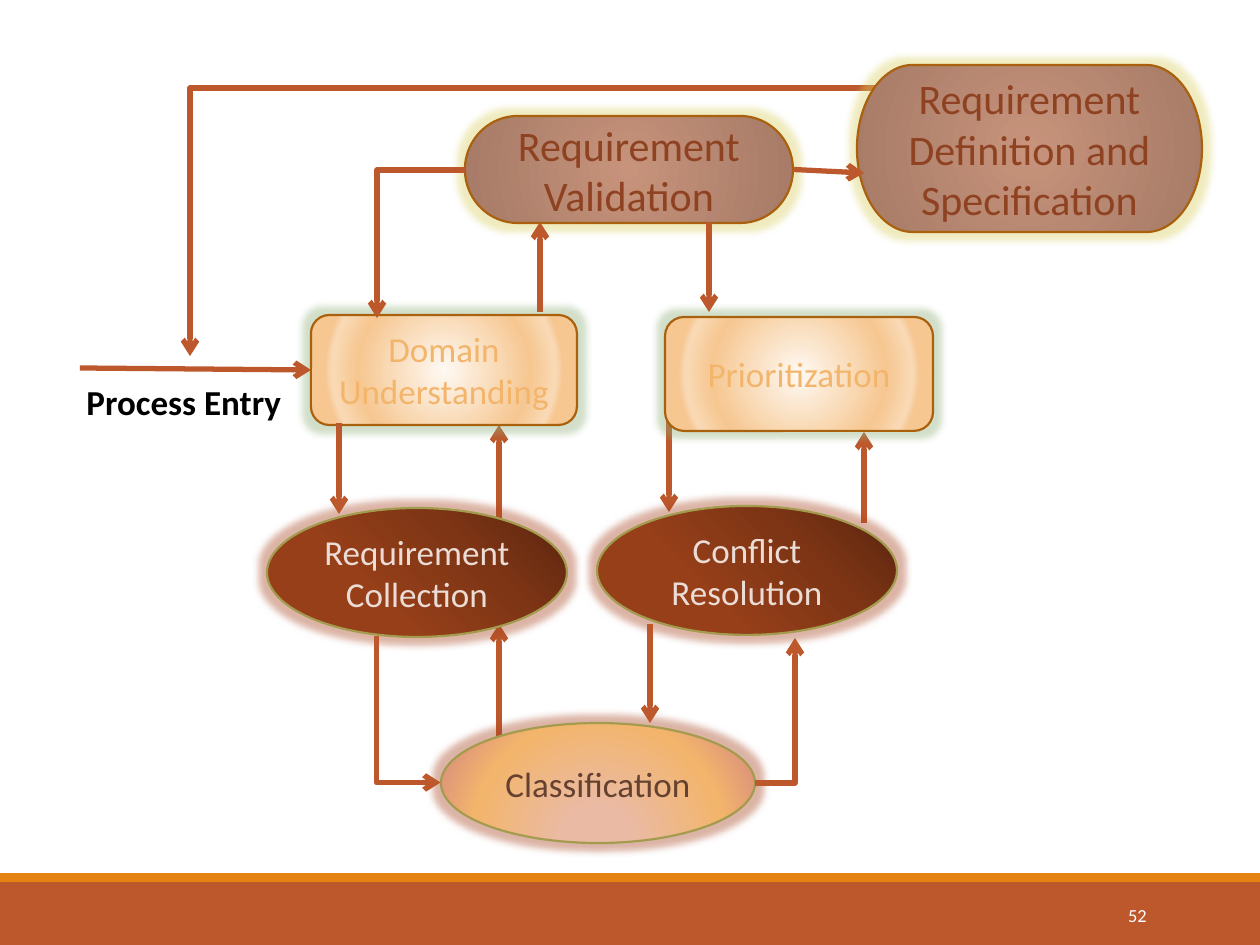
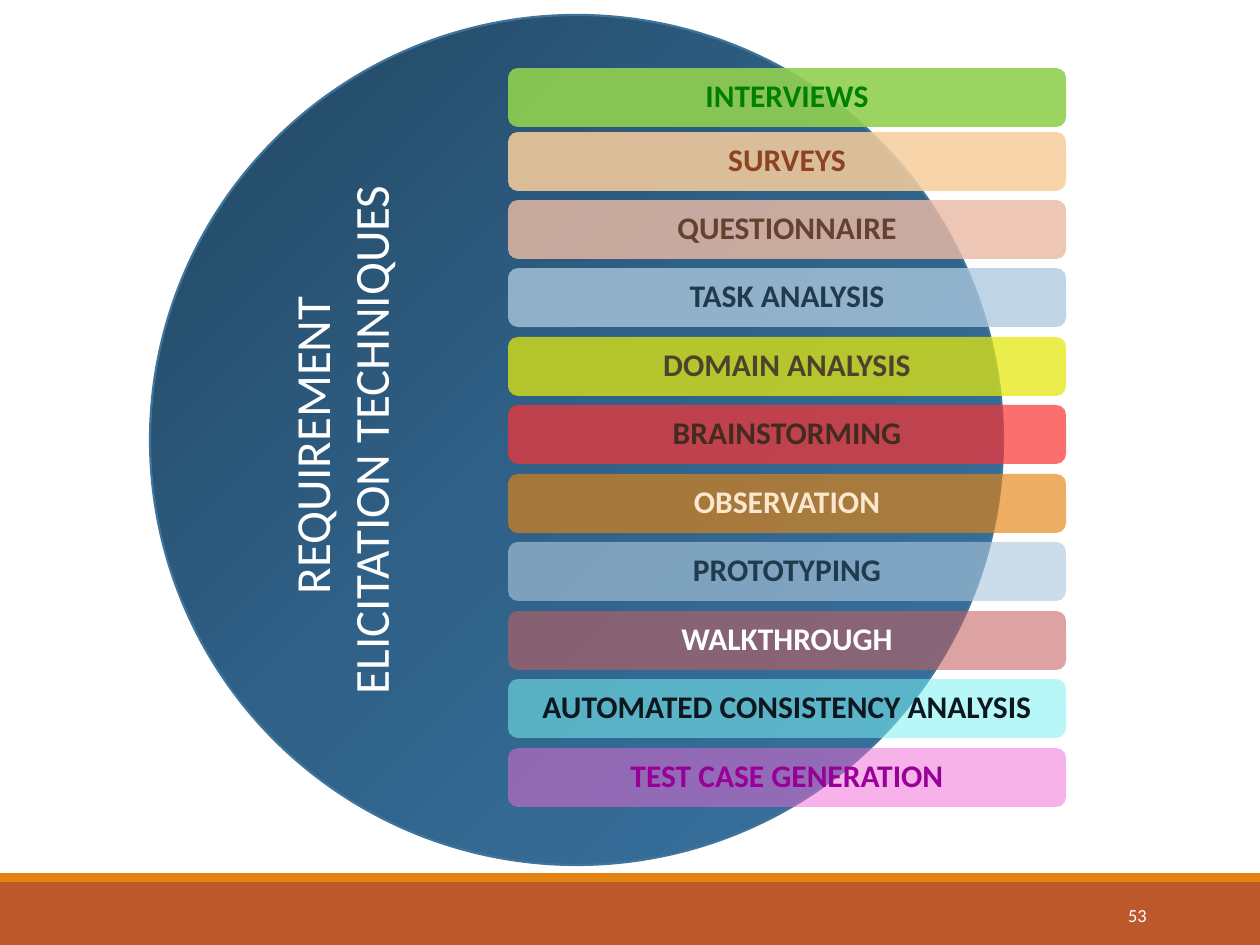
"""Build two slides: the requirement process and its elicitation techniques."""
from pptx import Presentation
from pptx.dml.color import RGBColor
from pptx.enum.shapes import MSO_CONNECTOR, MSO_SHAPE
from pptx.enum.text import MSO_ANCHOR, PP_ALIGN
from pptx.oxml import parse_xml
from pptx.oxml.ns import nsdecls, qn
from pptx.util import Emu, Pt

SCALE = 914400 / 126
FONT = "Calibri"
HUE = {
    "band": "BD582C", "strip": "E48312", "white": "FFFFFF", "black": "000000",
    "brown": "A9610D", "olive": "A39B4E", "blue": "40749B", "rust": "8E4221",
    "peach": "F3B56C", "cream": "EBDCD5", "cocoa": "654130", "navy": "203A4E",
    "sage": "8FAF78", "gold": "DACF60", "ember": "A84420",
}
CENTRE = '<a:path path="circle"><a:fillToRect l="50000" t="50000" r="50000" b="50000"/></a:path>'
LOW = '<a:path path="circle"><a:fillToRect l="50000" t="130000" r="50000" b="-30000"/></a:path>'
SLANT = '<a:lin ang="{}" scaled="0"/>'
SHADE = {
    "step": ([(0, "FEF9F3"), (60, "F6C791"), (78, "F9DAB6"), (83, "F6C791")], CENTRE),
    "goal": ([(0, "765749"), (0, "C7937B"), (93, "A87C68")], CENTRE),
    "task": ([(0, "59250F"), (33, "7E3515"), (65, "963F19")], SLANT.format(8100000)),
    "sort": ([(20, "EABAA5"), (75, "F3B56C"), (100, "E09878")], LOW),
    "disc": ([(0, "224560"), (50, "306289"), (100, "3974A2")], SLANT.format(2700000)),
}
STYLE = {
    "step": (MSO_SHAPE.ROUNDED_RECTANGLE, "brown", "sage", 20, "peach"),
    "goal": (MSO_SHAPE.FLOWCHART_TERMINATOR, "brown", "gold", 24, "rust"),
    "task": (MSO_SHAPE.OVAL, "olive", "ember", 20, "cream"),
    "sort": (MSO_SHAPE.OVAL, "olive", "ember", 20, "cocoa"),
}
NODES = [
    ("Prioritization", "step", (665, 317, 268, 114)),
    ("Conflict Resolution", "task", (597, 506, 300, 129)),
    ("Requirement Collection", "task", (267, 508, 300, 129)),
    ("Requirement Definition and Specification", "goal", (857, 65, 345, 167)),
    ("Requirement Validation", "goal", (465, 116, 328, 107)),
    ("Classification", "sort", (441, 723, 314, 120)),
    ("Domain Understanding", "step", (311, 315, 266, 110)),
]
BACK = [(864, 523, 864, 432), (669, 421, 669, 512),
        (499, 742, 499, 624), (499, 530, 499, 425)]
FRONT = [(339, 423, 339, 514), (709, 222, 709, 312),
         (540, 312, 540, 222), (650, 624, 650, 723)]
ENTRY = (80, 368, 311, 368)
SPECIFY = (793, 170, 864, 173)
LOOP = ((190, 88, 814, 268), 180, "flipV")
BENDS = [((377, 170, 88, 148), 180, "flipV"),
         ((335, 677, 147, 64), 270, "flipH"),
         ((755, 638, 40, 145), 0, "flipV")]
TITLE = ["REQUIREMENT ", "ELICITATION TECHNIQUES"]
WAYS = [
    ("INTERVIEWS", "92D050", "008000"),
    ("SURVEYS", "F7CE9D", HUE["rust"]),
    ("QUESTIONNAIRE", "EABAA5", HUE["cocoa"]),
    ("TASK ANALYSIS", "ADC8DD", HUE["navy"]),
    ("DOMAIN ANALYSIS", "E3E80E", "4E422C"),
    ("BRAINSTORMING", "FB3333", "432B20"),
    ("OBSERVATION", HUE["strip"], "FBE6CE"),
    ("PROTOTYPING", "ADC8DD", HUE["navy"]),
    ("WALKTHROUGH", "C55F5F", HUE["white"]),
    ("AUTOMATED CONSISTENCY ANALYSIS", "7BF1F1", "0D171F"),
    ("TEST CASE GENERATION", "F169D4", "990099"),
]


def px(*nums):
    return [Emu(round(n * SCALE)) for n in nums]


def rgb(code):
    return RGBColor.from_string(code)


def node(tag, inner="", **attrs):
    pairs = " ".join(f'{k}="{v}"' for k, v in attrs.items())
    return parse_xml(f"<a:{tag} {nsdecls('a')} {pairs}>{inner}</a:{tag}>")


def tint(code, alpha):
    return f'<a:srgbClr val="{code}"><a:alpha val="{alpha * 1000}"/></a:srgbClr>'


def write(shape, lines, size, code, bold=False, align=PP_ALIGN.CENTER, anchor=MSO_ANCHOR.MIDDLE):
    frame = shape.text_frame
    frame.word_wrap = True
    frame.vertical_anchor = anchor
    for i, line in enumerate(lines):
        para = frame.add_paragraph() if i else frame.paragraphs[0]
        para.alignment = align
        run = para.add_run()
        run.text = line
        font = run.font
        font.name, font.size, font.bold = FONT, Pt(size), bold
        font.color.rgb = rgb(code)
    return frame


def form(slide, kind, box, code=None, edge=None):
    shape = slide.shapes.add_shape(kind, *px(*box))
    shape.shadow.inherit = False
    if code:
        shape.fill.solid()
        shape.fill.fore_color.rgb = rgb(code)
    if edge:
        shape.line.color.rgb = rgb(HUE[edge])
        shape.line.width = Pt(1.25)
    else:
        shape.line.fill.background()
    return shape


def blend(shape, name):
    stops, way = SHADE[name]
    marks = "".join(f'<a:gs pos="{p * 1000}"><a:srgbClr val="{c}"/></a:gs>' for p, c in stops)
    shape.fill.background()
    props = shape.element.spPr
    props.replace(props.find(qn("a:noFill")),
                  node("gradFill", f"<a:gsLst>{marks}</a:gsLst>{way}", rotWithShape=1))


def arrow(slide, ends, kind=MSO_CONNECTOR.STRAIGHT):
    line = slide.shapes.add_connector(kind, *px(*ends))
    line.line.color.rgb = rgb(HUE["band"])
    line.line.width = Pt(3)
    props = line.element.spPr
    props.find(qn("a:ln")).append(node("tailEnd", type="arrow"))
    props.append(node("effectLst"))
    return line


def bend(slide, box, turn, flip):
    x, y, w, h = box
    props = arrow(slide, (x, y, x + w, y + h), MSO_CONNECTOR.ELBOW).element.spPr
    props.find(qn("a:prstGeom")).set("prst", "bentConnector2")
    frame = props.find(qn("a:xfrm"))
    frame.set("rot", str(turn * 60000))
    frame.set(flip, "1")


def stage(slide, text, style, box):
    kind, edge, halo, size, ink = STYLE[style]
    shape = form(slide, kind, box, edge=edge)
    blend(shape, style)
    glow = node("glow", tint(HUE[halo], 40), rad=101600)
    shape.element.spPr.find(qn("a:effectLst")).append(glow)
    frame = write(shape, [text], size, HUE[ink])
    if style == "step":
        frame.paragraphs[0].runs[0].font.element.set("spc", "50") if hasattr(
            frame.paragraphs[0].runs[0].font, "element") else None
    return shape


def dress(slide, layout):
    for box, name in [((0, 882, 1260, 63), "band"), ((0, 873, 1260, 9), "strip")]:
        band = form(slide, MSO_SHAPE.RECTANGLE, box, HUE[name])
        layout.shapes.element.append(band.element)


def number(slide, num):
    box = slide.shapes.add_textbox(*px(1023, 890, 136, 50))
    write(box, [str(num)], 10.5, HUE["white"], align=PP_ALIGN.RIGHT)


def process(slide):
    bend(slide, *LOOP)
    for ends in BACK:
        arrow(slide, ends)
    made = {text: stage(slide, text, style, box) for text, style, box in NODES}
    for ends in FRONT:
        arrow(slide, ends)
    for item in BENDS:
        bend(slide, *item)
    arrow(slide, ENTRY).end_connect(made["Domain Understanding"], 1)
    arrow(slide, SPECIFY).begin_connect(made["Requirement Validation"], 3)
    label = slide.shapes.add_textbox(*px(74, 374, 231, 55))
    write(label, ["Process Entry"], 20, HUE["black"], True, PP_ALIGN.LEFT, MSO_ANCHOR.TOP)


def methods(slide):
    disc = form(slide, MSO_SHAPE.OVAL, (150, 15, 853, 850), edge="blue")
    blend(disc, "disc")
    frame = write(disc, TITLE, 28, HUE["white"], anchor=MSO_ANCHOR.TOP)
    frame.paragraphs[0].space_before = Pt(29)
    disc.element.txBody.find(qn("a:bodyPr")).set("vert", "vert270")
    for i, (text, code, ink) in enumerate(WAYS):
        top = 132 + (i - 1) * 616 // 9 if i else 68
        bar = form(slide, MSO_SHAPE.ROUNDED_RECTANGLE, (508, top, 558, 59), code)
        props = bar.element.spPr
        props.replace(props.find(qn("a:solidFill")), node("solidFill", tint(code, 90 - 4 * i)))
        write(bar, [text], 18, ink, True).paragraphs[0].line_spacing = 0.9


def main():
    deck = Presentation()
    deck.slide_width, deck.slide_height = px(1260, 945)
    layout = deck.slide_layouts[6]
    for num, draw in enumerate([process, methods], 52):
        slide = deck.slides.add_slide(layout)
        if num == 52:
            dress(slide, layout)
        number(slide, num)
        draw(slide)
    deck.save("out.pptx")


if __name__ == "__main__":
    main()
